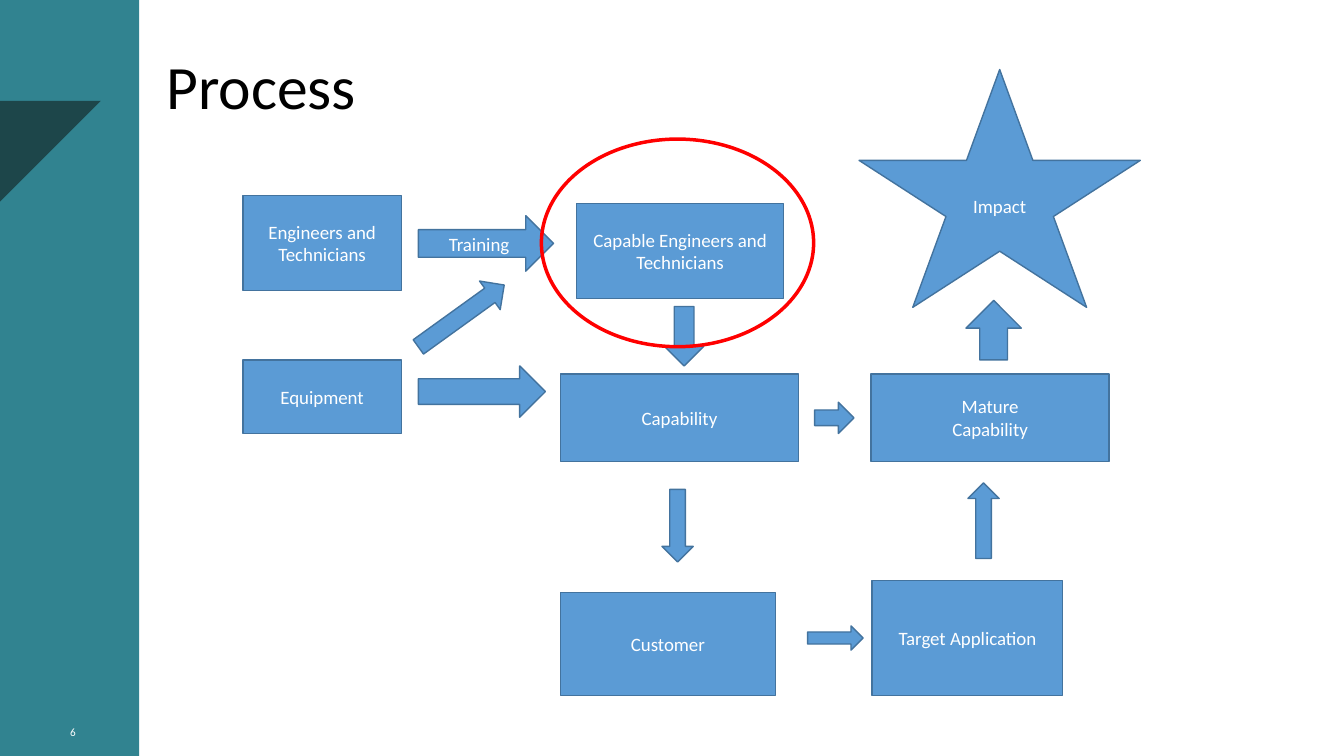
import pptx
import pptx.util
from pptx.dml.color import RGBColor
from pptx.enum.shapes import MSO_SHAPE
from pptx.enum.text import MSO_ANCHOR, PP_ALIGN
from pptx.util import Inches, Pt

FONT = "Calibri"
COLORS = {
    "teal": "318390",
    "dark teal": "1D464A",
    "blue": "5B9BD5",
    "outline": "43739E",
    "red": "FF0000",
    "white": "FFFFFF",
    "black": "000000",
}

# left, top, width, height, lines of text
BOXES = [
    (2.41, 3.57, 1.57, 0.73, ["Equipment"]),
    (2.41, 1.94, 1.57, 0.94, ["Engineers and Technicians"]),
    (5.72, 2.02, 2.05, 0.94, ["Capable Engineers and Technicians"]),
    (5.56, 3.71, 2.36, 0.87, ["Capability"]),
    (8.64, 3.71, 2.36, 0.87, ["Mature", "Capability"]),
    (5.56, 5.88, 2.13, 1.02, ["Customer"]),
    (8.65, 5.76, 1.89, 1.14, ["Target Application"]),
]

# preset, left, top, width, height, rotation, lines of text
ARROWS = [
    (MSO_SHAPE.RIGHT_ARROW, 4.15, 2.14, 1.34, 0.55, 0, ["Training"]),
    (MSO_SHAPE.RIGHT_ARROW, 4.05, 2.96, 1.05, 0.35, 324.2, []),
    (MSO_SHAPE.RIGHT_ARROW, 4.15, 3.63, 1.26, 0.51, 0, []),
    (MSO_SHAPE.DOWN_ARROW, 6.59, 3.04, 0.39, 0.59, 0, []),
    (MSO_SHAPE.RIGHT_ARROW, 6.36, 5.06, 0.72, 0.31, 90, []),
    (MSO_SHAPE.RIGHT_ARROW, 8.01, 6.21, 0.55, 0.24, 0, []),
    (MSO_SHAPE.RIGHT_ARROW, 9.38, 5.01, 0.75, 0.31, 270, []),
    (MSO_SHAPE.RIGHT_ARROW, 8.08, 3.99, 0.39, 0.31, 0, []),
    (MSO_SHAPE.DOWN_ARROW, 9.58, 2.98, 0.55, 0.59, 180, []),
]


def color(name):
    return RGBColor.from_string(COLORS[name])


def style_shape(shape, fill=None, line=None, line_width=1):
    """Set fill and outline; None leaves either of them out."""
    shape.shadow.inherit = False
    if fill:
        shape.fill.solid()
        shape.fill.fore_color.rgb = color(fill)
    else:
        shape.fill.background()
    if line:
        shape.line.color.rgb = color(line)
        shape.line.width = Pt(line_width)
    else:
        shape.line.fill.background()


def write_lines(shape, lines, size, font_color="white", align=PP_ALIGN.CENTER):
    frame = shape.text_frame
    frame.word_wrap = True
    frame.vertical_anchor = MSO_ANCHOR.MIDDLE
    for index, line in enumerate(lines):
        paragraph = frame.add_paragraph() if index else frame.paragraphs[0]
        paragraph.alignment = align
        run = paragraph.add_run()
        run.text = line
        run.font.name = FONT
        run.font.size = Pt(size)
        run.font.color.rgb = color(font_color)


def add_process_shape(slide, preset, left, top, width, height, lines, rotation=0):
    shape = slide.shapes.add_shape(
        preset, Inches(left), Inches(top), Inches(width), Inches(height))
    shape.rotation = rotation
    style_shape(shape, "blue", "outline")
    write_lines(shape, lines, 13.5)


def add_sidebar(slide):
    band = slide.shapes.add_shape(
        MSO_SHAPE.RECTANGLE, 0, 0, Inches(1.38), Inches(7.5))
    style_shape(band, "teal")
    builder = slide.shapes.build_freeform(0, 0, scale=Inches(1))
    builder.add_line_segments(
        [(0.28, 0), (0.28, 0.51), (0.74, 1.08), (0.28, 1.65), (0.28, 7.5), (0, 7.5)])
    style_shape(builder.convert_to_shape(), "dark teal")
    number = slide.shapes.add_textbox(
        Inches(0.29), Inches(6.99), Inches(0.87), Inches(0.54))
    write_lines(number, ["6"], 8)


def add_title(slide, text):
    title = slide.shapes.title
    title.left, title.top = Inches(1.55), Inches(0.52)
    title.width, title.height = Inches(11.11), Inches(0.73)
    write_lines(title, [text], 44, "black", PP_ALIGN.LEFT)
    title.text_frame.paragraphs[0].line_spacing = 0.9


def add_highlight(slide):
    ellipse = slide.shapes.add_shape(
        MSO_SHAPE.OVAL, Inches(5.37), Inches(1.38), Inches(2.7), Inches(2.06))
    style_shape(ellipse, line="red", line_width=2.5)


def main():
    presentation = pptx.Presentation()
    presentation.slide_width = Inches(13.33)
    presentation.slide_height = Inches(7.5)
    slide = presentation.slides.add_slide(presentation.slide_layouts[5])
    add_sidebar(slide)
    add_title(slide, "Process")
    for left, top, width, height, lines in BOXES:
        add_process_shape(
            slide, MSO_SHAPE.RECTANGLE, left, top, width, height, lines)
    for preset, left, top, width, height, rotation, lines in ARROWS:
        add_process_shape(
            slide, preset, left, top, width, height, lines, rotation)
    add_process_shape(
        slide, MSO_SHAPE.STAR_5_POINT, 8.52, 0.69, 2.79, 2.36, ["Impact"])
    add_highlight(slide)
    presentation.save("out.pptx")


if __name__ == "__main__":
    main()
